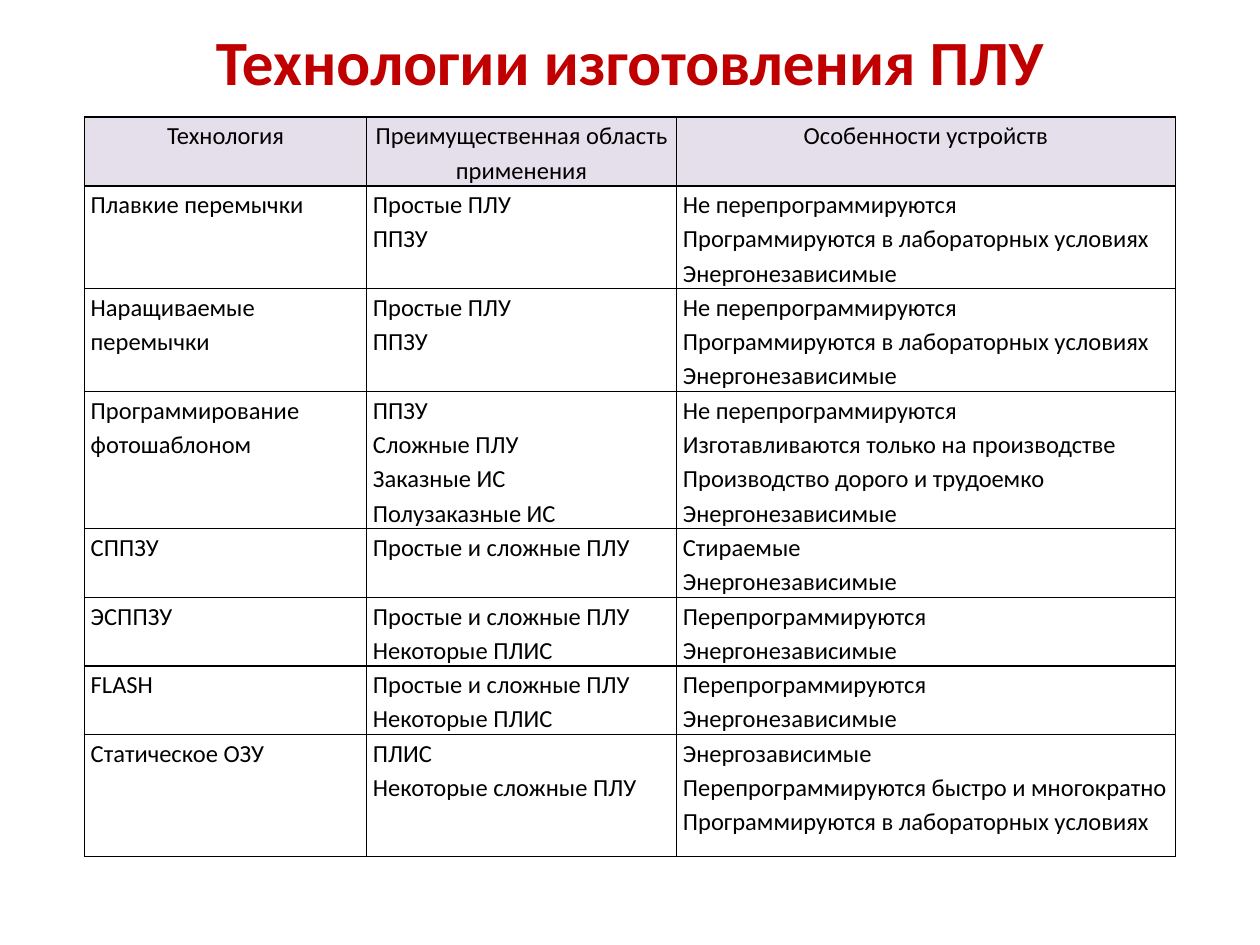
from dataclasses import dataclass

from lxml import etree
from pptx import Presentation
from pptx import util as u
from pptx.dml.color import RGBColor
from pptx.enum import text
from pptx.oxml import ns


@dataclass
class Theme:
    font: str = "Calibri"
    ink: str = "000000"
    title: str = "C00000"
    head: str = "E5DFEC"
    big: int = 36
    small: int = 14
    line: int = 1
    lead: float = 1.15


class Deck:
    """Holds the theme and the current slide, and adds elements to it."""

    def __init__(self, theme):
        self.theme = theme
        self.prs = Presentation()
        self.prs.slide_width, self.prs.slide_height = u.Inches(10), u.Inches(7.5)
        self.slide = self.prs.slides.add_slide(self.prs.slide_layouts[5])

    def put(self, item, **values):
        for name, value in values.items():
            setattr(item, name, value)

    def style(self, para, size, color, bold=False, **values):
        self.put(para, **values)
        self.put(para.font, name=self.theme.font, size=u.Pt(size), bold=bold)
        para.font.color.rgb = RGBColor.from_string(color)

    def title(self, words, left, top, width, height):
        shape = self.slide.shapes.title
        self.put(shape, left=u.Inches(left), top=u.Inches(top),
                 width=u.Inches(width), height=u.Inches(height))
        frame = shape.text_frame
        self.put(frame, text=words, word_wrap=True,
                 vertical_anchor=text.MSO_ANCHOR.MIDDLE)
        self.style(frame.paragraphs[0], self.theme.big, self.theme.title, True,
                   alignment=text.PP_ALIGN.CENTER)

    def border(self, cell):
        props = cell._tc.get_or_add_tcPr()
        for side in ("lnL", "lnR", "lnT", "lnB"):
            line = etree.SubElement(props, ns.qn(f"a:{side}"),
                                    w=str(u.Pt(self.theme.line)))
            fill = etree.SubElement(line, ns.qn("a:solidFill"))
            etree.SubElement(fill, ns.qn("a:srgbClr"), val=self.theme.ink)

    def cell(self, cell, words, head):
        side = u.Inches(0.05)
        self.put(cell, text=words, margin_left=side, margin_right=side,
                 margin_top=0, margin_bottom=0)
        self.border(cell)
        if head:
            cell.fill.solid()
            cell.fill.fore_color.rgb = RGBColor.from_string(self.theme.head)
        else:
            cell.fill.background()
        align = text.PP_ALIGN.CENTER if head else text.PP_ALIGN.LEFT
        for para in cell.text_frame.paragraphs:
            self.style(para, self.theme.small, self.theme.ink,
                       alignment=align, line_spacing=self.theme.lead)

    def table(self, rows, left, top, widths, heights):
        table = self.slide.shapes.add_table(
            len(rows), len(widths), u.Inches(left), u.Inches(top),
            u.Inches(sum(widths)), u.Inches(sum(heights))).table
        self.put(table, first_row=False, horz_banding=False)
        for col, width in zip(table.columns, widths):
            col.width = u.Inches(width)
        for i, (row, height) in enumerate(zip(rows, heights)):
            table.rows[i].height = u.Inches(height)
            for j, words in enumerate(row):
                self.cell(table.cell(i, j), words, head=i == 0)


KEEP = "Энергонезависимые"
FIXED = "Не перепрограммируются"
LAB = "Программируются в лабораторных условиях"
FUSE = ("Простые ПЛУ\nППЗУ", f"{FIXED}\n{LAB}\n{KEEP}")
MIX = "Простые и сложные ПЛУ"
ERASE = (f"{MIX}\nНекоторые ПЛИС", f"Перепрограммируются\n{KEEP}")

ROWS = [
    ("Технология", "Преимущественная область применения", "Особенности устройств"),
    ("Плавкие перемычки", *FUSE),
    ("Наращиваемые перемычки", *FUSE),
    ("Программирование фотошаблоном",
     "ППЗУ\nСложные ПЛУ\nЗаказные ИС\nПолузаказные ИС",
     f"{FIXED}\nИзготавливаются только на производстве\n"
     f"Производство дорого и трудоемко\n{KEEP}"),
    ("СППЗУ", MIX, f"Стираемые\n{KEEP}"),
    ("ЭСППЗУ", *ERASE),
    ("FLASH", *ERASE),
    ("Статическое ОЗУ", "ПЛИС\nНекоторые сложные ПЛУ",
     f"Энергозависимые\nПерепрограммируются быстро и многократно\n{LAB}"),
]


def main():
    deck = Deck(Theme())
    deck.title("Технологии изготовления ПЛУ", 0.5, 0.13, 9, 0.69)
    deck.table(ROWS, 0.67, 0.93, widths=(2.24, 2.46, 3.96),
               heights=(0.54, 0.81, 0.81, 1.07, 0.54, 0.54, 0.54, 0.97))
    deck.prs.save("out.pptx")


if __name__ == "__main__":
    main()
